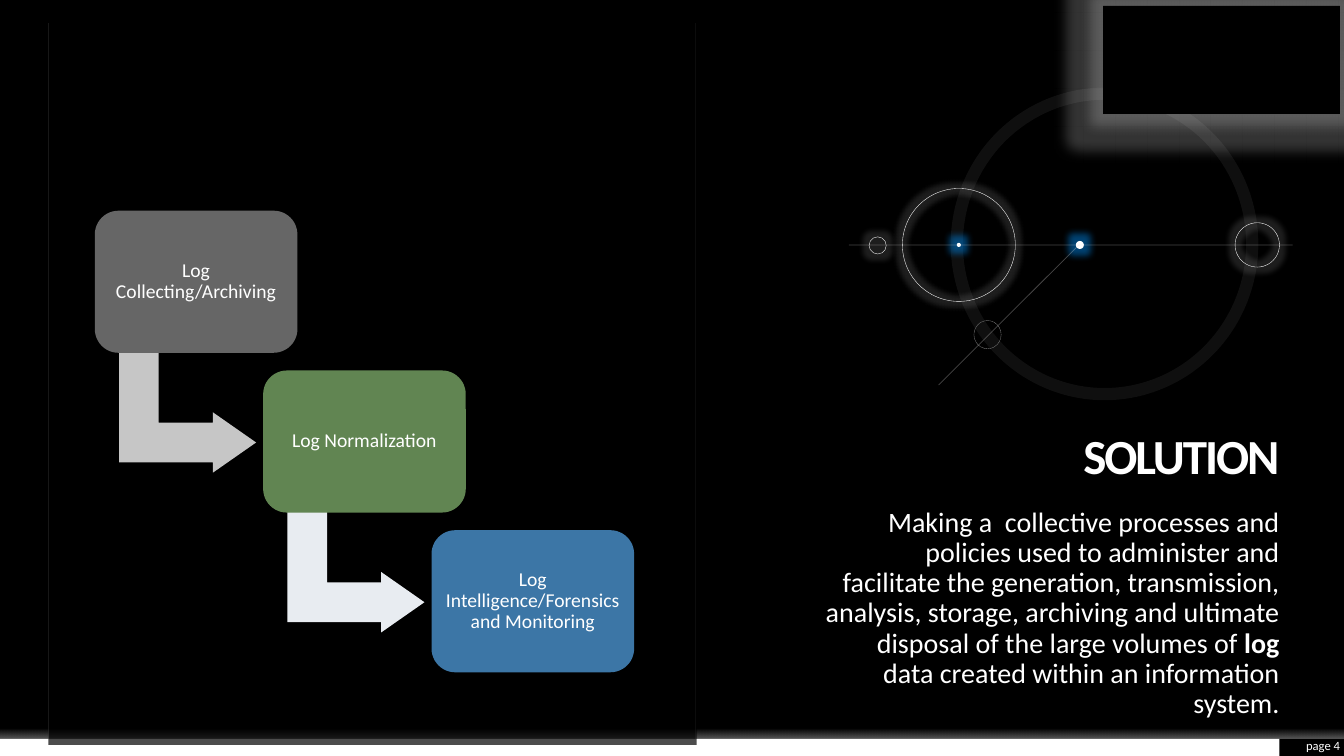
from dataclasses import dataclass

from lxml.etree import SubElement
from pptx import Presentation
from pptx.dml.color import RGBColor
from pptx.enum.dml import MSO_LINE
from pptx.enum.shapes import MSO_CONNECTOR, MSO_SHAPE
from pptx.enum.text import MSO_ANCHOR, PP_ALIGN
from pptx.oxml.ns import qn
from pptx.util import Inches, Pt

COLORS = {
    "black": "000000", "white": "FFFFFF", "guide": "F2F2F2", "axis": "E7E6E6",
    "moon": "808080", "halo": "0070C0", "collect": "666666",
    "normalize": "618552", "monitor": "3C76A6",
    "first_arrow": "C6C6C6", "second_arrow": "E8ECF1",
}
FONT = "Calibri"
GRID = 0.1
STEPS = [
    ("Log Collecting/Archiving", "collect", "first_arrow"),
    ("Log Normalization", "normalize", "second_arrow"),
    ("Log Intelligence/Forensics and Monitoring", "monitor", None),
]
SOLUTION = [
    ("Making a  collective processes and policies used to administer and "
     "facilitate the generation, transmission, analysis, storage, archiving "
     "and ultimate disposal of the large volumes of ", False),
    ("log", True),
    (" data created within an information system.", False),
]


@dataclass
class Box:
    left: float
    top: float
    width: float
    height: float

    def cell(self, col, row, cols, rows):
        return Box(self.left + col * GRID, self.top + row * GRID, cols * GRID, rows * GRID)

    def emu(self):
        return [Inches(side) for side in (self.left, self.top, self.width, self.height)]


def rgb(name):
    return RGBColor.from_string(COLORS[name])


def set_alpha(color_element, percent):
    SubElement(color_element, qn("a:alpha"), val=str(percent * 1000))


def style_line(line, color, width, alpha=100):
    line.color.rgb = rgb(color)
    line.width = Pt(width)
    if alpha < 100:
        set_alpha(line.fill._xPr.find(".//" + qn("a:srgbClr")), alpha)


def add_figure(slide, kind, box, fill=None, alpha=100):
    figure = slide.shapes.add_shape(kind, *box.emu())
    figure.shadow.inherit = False
    figure.line.fill.background()
    if fill:
        figure.fill.solid()
        figure.fill.fore_color.rgb = rgb(fill)
        if alpha < 100:
            set_alpha(figure._element.spPr.find(".//" + qn("a:srgbClr")), alpha)
    else:
        figure.fill.background()
    return figure


def add_glow(figure, color, radius, alpha):
    effects = figure._element.spPr.find(qn("a:effectLst"))
    glow = SubElement(effects, qn("a:glow"), rad=str(Pt(radius)))
    set_alpha(SubElement(glow, qn("a:srgbClr"), val=COLORS[color]), alpha)


def add_rule(slide, box, start, end, color, width, alpha):
    ends = [Inches(edge + step * GRID) for point in (start, end)
            for edge, step in zip((box.left, box.top), point)]
    rule = slide.shapes.add_connector(MSO_CONNECTOR.STRAIGHT, *ends)
    style_line(rule.line, color, width, alpha)
    SubElement(rule._element.spPr, qn("a:effectLst"))


def write(frame, runs, size, align, anchor, inset=0, spacing=0.9):
    frame.word_wrap = True
    frame.vertical_anchor = anchor
    frame.margin_left = frame.margin_right = Inches(inset)
    frame.margin_top = frame.margin_bottom = Inches(inset)
    paragraph = frame.paragraphs[0]
    paragraph.alignment = align
    paragraph.line_spacing = spacing
    for words, bold in runs:
        run = paragraph.add_run()
        run.text = words
        run.font.name = FONT
        run.font.size = Pt(size)
        run.font.bold = bold
        run.font.color.rgb = rgb("white")
    return paragraph


def add_words(slide, box, runs, size, anchor, spacing=0.9):
    frame = slide.shapes.add_textbox(*box.emu()).text_frame
    return write(frame, runs, size, PP_ALIGN.RIGHT, anchor, spacing=spacing)


def draw_frame(slide, box):
    add_figure(slide, MSO_SHAPE.RECTANGLE, box.cell(0, 73.3, 126.9, 1.7), "white")
    fade = add_figure(slide, MSO_SHAPE.RECTANGLE, box.cell(0, 71.6, 133.3, 1.7))
    fade.fill.gradient()
    fade.fill.gradient_angle = 270
    for stop, position, alpha in zip(fade.fill.gradient_stops, (0.4, 1), (0, 35)):
        stop.color.rgb = rgb("white")
        stop.position = position
    for color, alpha in zip(fade._element.spPr.iter(qn("a:srgbClr")), (0, 35)):
        set_alpha(color, alpha)
    add_figure(slide, MSO_SHAPE.RECTANGLE, box.cell(4.8, 42.6, 64.3, 31.3), "black", 70)
    for col in (69, 4.8):
        add_rule(slide, box, (col, 2.3), (col, 73.3), "guide", 0.25, 15)
    add_words(slide, box.cell(126.9, 73.1, 6, 1.7), [("page 4", False)], 9,
              MSO_ANCHOR.MIDDLE, 1)


def draw_solution(slide, box):
    title = add_words(slide, box.cell(0, 0, 55.6, 7.9), [("SOLUTION", True)], 35,
                      MSO_ANCHOR.BOTTOM)
    title.runs[0].font._element.set("spc", "-150")
    add_words(slide, box.cell(10.5, 10.2, 45.1, 19.7), SOLUTION, 20, MSO_ANCHOR.TOP)


def draw_orbits(slide, box):
    def circle(col, row, cols, rows, fill=None):
        return add_figure(slide, MSO_SHAPE.OVAL, box.cell(col, row, cols, rows), fill)

    for col, row, size in ((5.3, 9.4, 11.2), (38.3, 12.8, 4.4), (2, 14.2, 1.7)):
        ring = circle(col, row, size, size)
        style_line(ring.line, "white", 0.25)
        add_glow(ring, "white", 8, 12)
    orbit = circle(10.7, 0, 29.3, 29.8)
    style_line(orbit.line, "white", 8.75, 6)
    for col, row, size in ((22.5, 14.6, 0.8), (10.7, 14.8, 0.4)):
        dot = circle(col, row, size, size, "white")
        add_glow(dot, "halo", 10, 60)
    moon = circle(12.4, 22.5, 2.7, 2.8)
    style_line(moon.line, "moon", 0.25)
    moon.line.dash_style = MSO_LINE.SQUARE_DOT
    for start, end in (((0, 15), (44, 15)), ((8.9, 28.9), (22.8, 15))):
        add_rule(slide, box, start, end, "axis", 0.5, 30)


def draw_steps(slide, box):
    for index, (label, color, arrow_color) in enumerate(STEPS):
        col, row = index * 16.7, index * 15.85
        if arrow_color:
            arrow = add_figure(slide, MSO_SHAPE.BENT_UP_ARROW,
                               box.cell(col + 3.2, row + 13.2, 12, 13.6), arrow_color)
            arrow.rotation = 90
            for place, share in enumerate((0.328, 0.25, 0.358)):
                arrow.adjustments[place] = share
        step = add_figure(slide, MSO_SHAPE.ROUNDED_RECTANGLE,
                          box.cell(col, row, 20.1, 14.1), color)
        step.adjustments[0] = 0.167
        write(step.text_frame, [(label, False)], 14, PP_ALIGN.CENTER,
              MSO_ANCHOR.MIDDLE, 0.06).space_after = Pt(5)


def main():
    deck = Presentation()
    deck.slide_width, deck.slide_height = Inches(13.33), Inches(7.5)
    slide = deck.slides.add_slide(deck.slide_layouts[6])
    slide.background.fill.solid()
    slide.background.fill.fore_color.rgb = rgb("black")
    page = Box(0, 0, 13.33, 7.5)
    draw_frame(slide, page)
    draw_solution(slide, page.cell(71.3, 40.2, 55.6, 30))
    draw_orbits(slide, page.cell(84.2, 9.3, 44, 29.8))
    draw_steps(slide, page.cell(9.4, 20.9, 53.5, 45.8))
    corner = add_figure(slide, MSO_SHAPE.RECTANGLE, page.cell(109.4, 0.6, 23.5, 10.7), "black")
    add_glow(corner, "white", 18, 20)
    deck.save("out.pptx")


if __name__ == "__main__":
    main()
